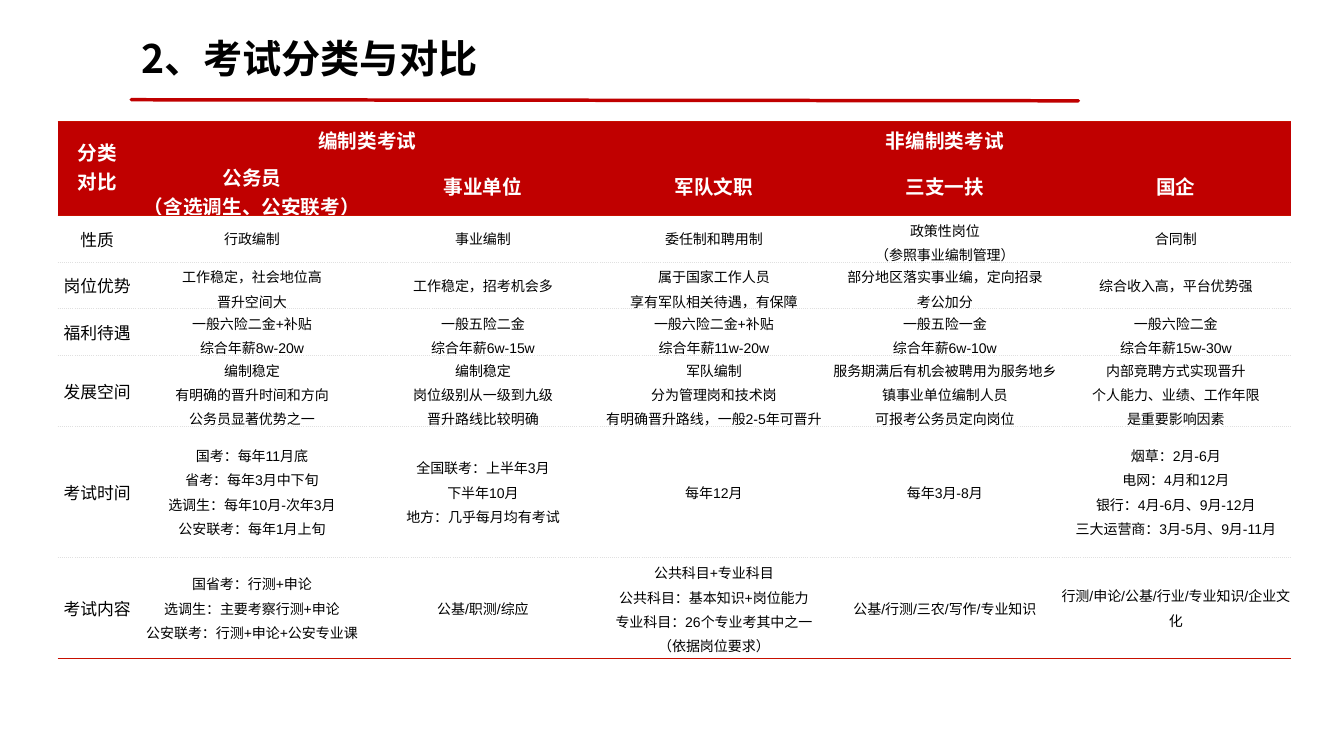
from dataclasses import dataclass

from lxml.etree import SubElement
from pptx import Presentation
from pptx.dml.color import RGBColor
from pptx.enum.shapes import MSO_CONNECTOR
from pptx.enum.text import MSO_ANCHOR, PP_ALIGN
from pptx.oxml.ns import qn
from pptx.util import Pt

EMU_PER_PX = 9525


def px(n):
    return n * EMU_PER_PX


@dataclass(frozen=True)
class Theme:
    red: str = "C00000"
    rule: str = "C70F00"
    grid: str = "E0E0E0"
    ink: str = "000000"
    white: str = "FFFFFF"
    latin: str = "Arial"
    cjk: str = "Noto Sans CJK SC"
    title_pt: int = 28
    head_pt: int = 14
    label_pt: int = 12
    body_pt: int = 10


class SlideBuilder:
    def __init__(self, prs, theme):
        self.s = prs.slides.add_slide(prs.slide_layouts[6])
        self.theme = theme

    def run(self, p, text, size, color, latin, bold=False):
        r = p.add_run()
        r.text = text
        r.font.size = Pt(size)
        r.font.bold = bold
        r.font.color.rgb = RGBColor.from_string(color)
        r.font.name = latin
        SubElement(r.font._element, qn("a:ea"), typeface=self.theme.cjk)

    def title(self, text, x, y, w, h):
        t = self.theme
        tf = self.s.shapes.add_textbox(px(x), px(y), px(w), px(h)).text_frame
        tf.word_wrap = True
        tf.vertical_anchor = MSO_ANCHOR.MIDDLE
        self.run(tf.paragraphs[0], text, t.title_pt, t.ink, t.cjk, True)

    def line(self, x1, y1, x2, y2, width):
        sp = self.s.shapes.add_connector(
            MSO_CONNECTOR.STRAIGHT, px(x1), px(y1), px(x2), px(y2))
        sp.line.color.rgb = RGBColor.from_string(self.theme.red)
        sp.line.width = Pt(width)
        sp.line._get_or_add_ln().set("cap", "rnd")
        SubElement(sp._element.spPr, qn("a:effectLst"))

    def border(self, cell, side, color=None, width=1, dash="solid"):
        ln = SubElement(cell._tc.get_or_add_tcPr(), qn(f"a:ln{side}"),
                        w=str(Pt(width)))
        if color is None:
            SubElement(ln, qn("a:noFill"))
            return
        fill = SubElement(ln, qn("a:solidFill"))
        SubElement(fill, qn("a:srgbClr"), val=color)
        SubElement(ln, qn("a:prstDash"), val=dash)

    def cell(self, cell, text, size, color, header):
        cell.vertical_anchor = MSO_ANCHOR.MIDDLE
        cell.margin_left = cell.margin_right = cell.margin_top = px(1)
        cell.margin_bottom = px(5)
        if header:
            cell.fill.solid()
            cell.fill.fore_color.rgb = RGBColor.from_string(self.theme.red)
        else:
            cell.fill.background()
        tf = cell.text_frame
        for i, part in enumerate(text.split("\n") if text else []):
            p = tf.add_paragraph() if i else tf.paragraphs[0]
            p.alignment = PP_ALIGN.CENTER
            if not header:
                p.line_spacing = 1.2
            self.run(p, part, size, color, self.theme.latin, header)

    def table(self, rows, x, y, widths, heights, merges, header_rows):
        t = self.theme
        table = self.s.shapes.add_table(
            len(rows), len(widths), px(x), px(y),
            px(sum(widths)), px(sum(heights))).table
        table.first_row = table.horz_banding = False
        for col, w in zip(table.columns, widths):
            col.width = px(w)
        for row, h in zip(table.rows, heights):
            row.height = px(h)

        # Horizontal rules by edge: solid around header and at the end, dotted between
        dotted = (t.grid, 0.5, "sysDot")
        edges = [dotted] * (len(rows) + 1)
        for i in (0, header_rows, len(rows)):
            edges[i] = (t.rule,)
        for i in range(1, header_rows):
            edges[i] = ()

        for i, texts in enumerate(rows):
            header = i < header_rows
            for j, text in enumerate(texts):
                cell = table.cell(i, j)
                last = header_rows - 1 if header and j == 0 else i
                self.border(cell, "L")
                self.border(cell, "R")
                self.border(cell, "T", *edges[i])
                self.border(cell, "B", *edges[last + 1])
                size = t.head_pt if header else t.body_pt if j else t.label_pt
                self.cell(cell, text, size, t.white if header else t.ink, header)
        for first, last in merges:
            table.cell(*first).merge(table.cell(*last))


HEADER_ROWS = [
    ["分类\n对比", "编制类考试", "", "非编制类考试", "", ""],
    ["", "公务员\n（含选调生、公安联考）", "事业单位", "军队文职", "三支一扶", "国企"],
]
BODY_ROWS = [
    ["性质", "行政编制", "事业编制", "委任制和聘用制",
     "政策性岗位\n（参照事业编制管理）", "合同制"],
    ["岗位优势", "工作稳定，社会地位高\n晋升空间大", "工作稳定，招考机会多",
     "属于国家工作人员\n享有军队相关待遇，有保障",
     "部分地区落实事业编，定向招录\n考公加分", "综合收入高，平台优势强"],
    ["福利待遇", "一般六险二金+补贴\n综合年薪8w-20w", "一般五险二金\n综合年薪6w-15w",
     "一般六险二金+补贴\n综合年薪11w-20w", "一般五险一金\n综合年薪6w-10w",
     "一般六险二金\n综合年薪15w-30w"],
    ["发展空间", "编制稳定\n有明确的晋升时间和方向\n公务员显著优势之一",
     "编制稳定\n岗位级别从一级到九级\n晋升路线比较明确",
     "军队编制\n分为管理岗和技术岗\n有明确晋升路线，一般2-5年可晋升",
     "服务期满后有机会被聘用为服务地乡镇事业单位编制人员\n可报考公务员定向岗位",
     "内部竞聘方式实现晋升\n个人能力、业绩、工作年限\n是重要影响因素"],
    ["考试时间",
     "国考：每年11月底\n省考：每年3月中下旬\n选调生：每年10月-次年3月\n公安联考：每年1月上旬",
     "全国联考：上半年3月\n下半年10月\n地方：几乎每月均有考试", "每年12月", "每年3月-8月",
     "烟草：2月-6月\n电网：4月和12月\n银行：4月-6月、9月-12月\n三大运营商：3月-5月、9月-11月"],
    ["考试内容", "国省考：行测+申论\n选调生：主要考察行测+申论\n公安联考：行测+申论+公安专业课",
     "公基/职测/综应",
     "公共科目+专业科目\n公共科目：基本知识+岗位能力\n专业科目：26个专业考其中之一\n（依据岗位要求）",
     "公基/行测/三农/写作/专业知识", "行测/申论/公基/行业/专业知识/企业文化"],
]


def main():
    prs = Presentation()
    prs.slide_width, prs.slide_height = px(1280), px(720)
    slide = SlideBuilder(prs, Theme())

    # Title and underline
    slide.line(125, 95, 1027, 96, 2.5)
    slide.title("2、考试分类与对比", 125, 28, 746, 55)

    # Comparison table
    slide.table(
        HEADER_ROWS + BODY_ROWS, 55, 116,
        widths=[75] + [220] * 5,
        heights=[38, 51, 38, 38, 38, 68, 125, 96],
        merges=[((0, 0), (1, 0)), ((0, 1), (0, 2)), ((0, 3), (0, 5))],
        header_rows=len(HEADER_ROWS))

    prs.save("out.pptx")


if __name__ == "__main__":
    main()
